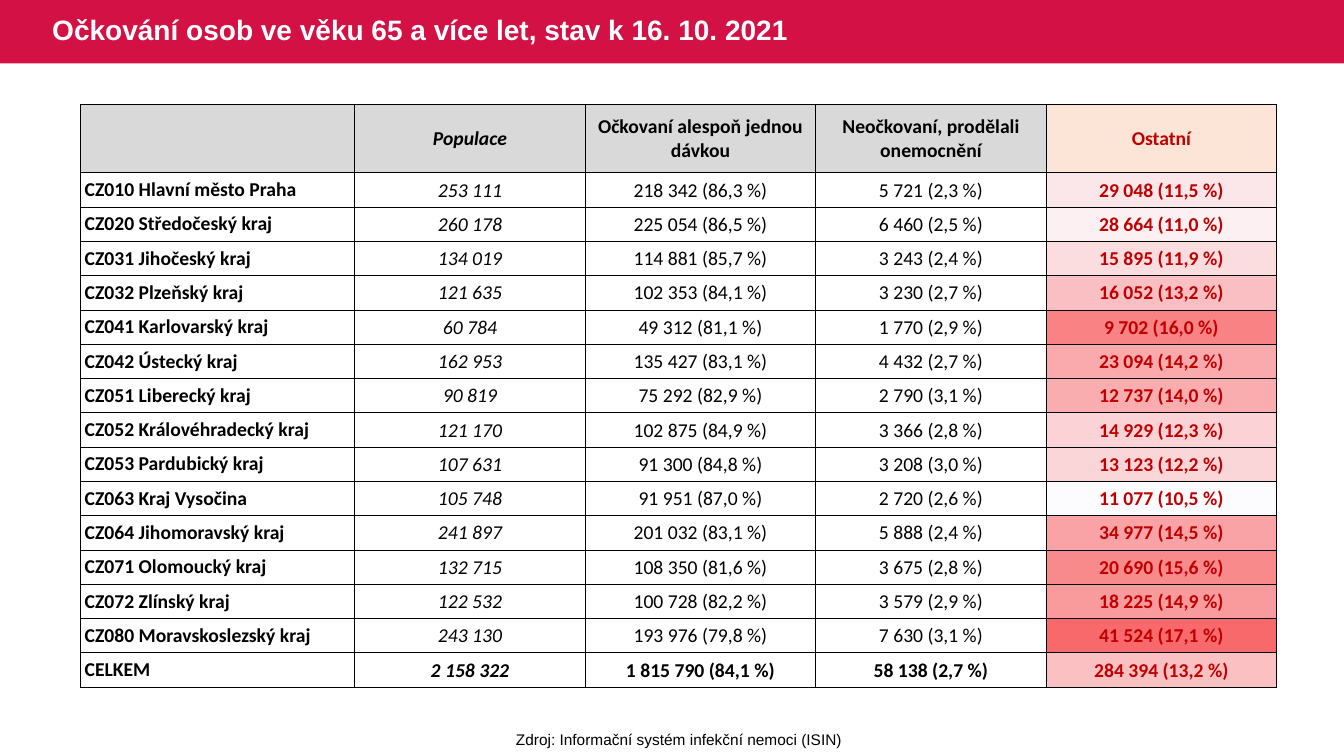
import lxml.etree
import pptx
import pptx.dml.color
import pptx.enum.shapes
import pptx.enum.text
import pptx.oxml.ns
import pptx.util

COLORS = {"bar": "D31145", "white": "FFFFFF", "black": "000000", "grey": "D9D9D9",
          "peach": "FCE4D6", "red": "C00000", "low": "FCFCFF", "high": "F8696B"}
WIDTH, HEIGHT = pptx.util.Inches(13.33), pptx.util.Inches(7.5)
COL, ROW = WIDTH / 100, HEIGHT / 22
ALIGN = pptx.enum.text.PP_ALIGN
MIDDLE = pptx.enum.text.MSO_ANCHOR.MIDDLE

HEADER = ("", "Populace", "Očkovaní alespoň jednou dávkou",
          "Neočkovaní, prodělali onemocnění", "Ostatní")
REGIONS = [
    ("CZ010 Hlavní město Praha", "253 111", "218 342 (86,3 %)", "5 721 (2,3 %)", "29 048 (11,5 %)"),
    ("CZ020 Středočeský kraj", "260 178", "225 054 (86,5 %)", "6 460 (2,5 %)", "28 664 (11,0 %)"),
    ("CZ031 Jihočeský kraj", "134 019", "114 881 (85,7 %)", "3 243 (2,4 %)", "15 895 (11,9 %)"),
    ("CZ032 Plzeňský kraj", "121 635", "102 353 (84,1 %)", "3 230 (2,7 %)", "16 052 (13,2 %)"),
    ("CZ041 Karlovarský kraj", "60 784", "49 312 (81,1 %)", "1 770 (2,9 %)", "9 702 (16,0 %)"),
    ("CZ042 Ústecký kraj", "162 953", "135 427 (83,1 %)", "4 432 (2,7 %)", "23 094 (14,2 %)"),
    ("CZ051 Liberecký kraj", "90 819", "75 292 (82,9 %)", "2 790 (3,1 %)", "12 737 (14,0 %)"),
    ("CZ052 Královéhradecký kraj", "121 170", "102 875 (84,9 %)", "3 366 (2,8 %)", "14 929 (12,3 %)"),
    ("CZ053 Pardubický kraj", "107 631", "91 300 (84,8 %)", "3 208 (3,0 %)", "13 123 (12,2 %)"),
    ("CZ063 Kraj Vysočina", "105 748", "91 951 (87,0 %)", "2 720 (2,6 %)", "11 077 (10,5 %)"),
    ("CZ064 Jihomoravský kraj", "241 897", "201 032 (83,1 %)", "5 888 (2,4 %)", "34 977 (14,5 %)"),
    ("CZ071 Olomoucký kraj", "132 715", "108 350 (81,6 %)", "3 675 (2,8 %)", "20 690 (15,6 %)"),
    ("CZ072 Zlínský kraj", "122 532", "100 728 (82,2 %)", "3 579 (2,9 %)", "18 225 (14,9 %)"),
    ("CZ080 Moravskoslezský kraj", "243 130", "193 976 (79,8 %)", "7 630 (3,1 %)", "41 524 (17,1 %)"),
    ("CELKEM", "2 158 322", "1 815 790 (84,1 %)", "58 138 (2,7 %)", "284 394 (13,2 %)"),
]


def rgb(value):
    """Turn a hex string into a colour."""
    return pptx.dml.color.RGBColor.from_string(value)


def grid(col, row, cols, rows):
    """Turn grid units into a left, top, width, height box."""
    return tuple(round(n) for n in (col * COL, row * ROW, cols * COL, rows * ROW))


def write(tf, text, size=14, font="Calibri", color="black", bold=False,
          italic=False, align=ALIGN.CENTER, spacing=None):
    """Write one formatted paragraph into a text frame."""
    p = tf.paragraphs[0]
    p.alignment, p.line_spacing = align, spacing
    r = p.add_run()
    r.text = text
    r.font.size, r.font.name = pptx.util.Pt(size), font
    r.font.bold, r.font.italic = bold, italic
    r.font.color.rgb = rgb(COLORS[color])


def count(text):
    """Read the number that stands before any bracket."""
    return int(text.split("(")[0].replace(" ", ""))


def heat_scale(rows):
    """Shade each row by the share of the last column in the population."""
    shares = [count(row[-1]) / count(row[1]) for row in rows]
    low, high = min(shares), max(shares)
    ends = list(zip(bytes.fromhex(COLORS["low"]), bytes.fromhex(COLORS["high"])))
    steps = [(share - low) / (high - low) for share in shares]
    return ["".join(f"{round(a + (b - a) * t):02X}" for a, b in ends) for t in steps]


def style_cell(cell, fill=None, margins=(0, 0), border=None):
    """Set margins, borders and fill of a table cell."""
    cell.vertical_anchor = MIDDLE
    cell.margin_left = cell.margin_right = pptx.util.Inches(margins[0])
    cell.margin_top, cell.margin_bottom = pptx.util.Inches(margins[1]), 0
    tc_pr = cell._tc.get_or_add_tcPr()
    qn = pptx.oxml.ns.qn
    for side in "LRTB":
        ln = lxml.etree.SubElement(tc_pr, qn(f"a:ln{side}"), w=str(pptx.util.Pt(0.5)))
        line_fill = lxml.etree.SubElement(ln, qn("a:solidFill" if border else "a:noFill"))
        if border:
            lxml.etree.SubElement(line_fill, qn("a:srgbClr"), val=border)
    if fill:
        cell.fill.solid()
        cell.fill.fore_color.rgb = rgb(fill)
    else:
        cell.fill.background()


def add_grid_table(s, box, col_shares, row_shares):
    """Add a plain table whose columns and rows split the box by shares."""
    table = s.shapes.add_table(len(row_shares), len(col_shares), *box).table
    table.first_row = table.horz_banding = False
    for column, share in zip(table.columns, col_shares):
        column.width = round(box[2] * share / sum(col_shares))
    for row, share in zip(table.rows, row_shares):
        row.height = round(box[3] * share / sum(row_shares))
    return table


def add_title(s, box, text):
    """Draw the full-width bar and the title on it."""
    left, top, width, height = box
    sp = s.shapes.add_shape(pptx.enum.shapes.MSO_SHAPE.RECTANGLE, *box)
    sp.shadow.inherit = False
    sp.fill.solid()
    sp.fill.fore_color.rgb = rgb(COLORS["bar"])
    sp.line.fill.background()
    tf = s.shapes.add_textbox(left + round(width * 0.0315), top, round(width * 0.62), height).text_frame
    tf.word_wrap, tf.vertical_anchor = True, MIDDLE
    write(tf, text, size=20, font="Arial", color="white", bold=True,
          align=ALIGN.LEFT, spacing=0.9)


def add_heat_table(s, box):
    """Draw the one-column table of heat colours."""
    table = add_grid_table(s, box, [1], [1] * len(REGIONS))
    for i, fill in enumerate(heat_scale(REGIONS)):
        style_cell(table.cell(i, 0), fill)


def add_region_table(s, box):
    """Draw the vaccination table, its heat colours lying under the last column."""
    left, top, width, height = box
    rows = [HEADER] + REGIONS
    last_row, last_col = len(rows) - 1, len(HEADER) - 1
    col_shares = [20.4] + [17.15] * last_col
    row_shares = [2] + [1] * len(REGIONS)
    heat_width = round(width * col_shares[-1] / sum(col_shares))
    heat_height = round(height * len(REGIONS) / sum(row_shares))
    add_heat_table(s, (left + width - heat_width, top + height - heat_height,
                       heat_width, heat_height))
    table = add_grid_table(s, box, col_shares, row_shares)
    for i, row in enumerate(rows):
        for j, text in enumerate(row):
            cell = table.cell(i, j)
            header_fill = COLORS["peach" if j == last_col else "grey"]
            style_cell(cell, header_fill if i == 0 else None,
                       (0.04, 0) if i == 0 or j == 0 else (0.01, 0.01), COLORS["black"])
            if text:
                write(cell.text_frame, text, italic=j == 1,
                      bold=i in (0, last_row) or j in (0, last_col),
                      color="red" if j == last_col else "black",
                      align=ALIGN.LEFT if j == 0 else ALIGN.CENTER)


def add_source(s, box, text):
    """Write the source line under the table."""
    tf = s.shapes.add_textbox(*box).text_frame
    tf.word_wrap = False
    tf.auto_size = pptx.enum.text.MSO_AUTO_SIZE.SHAPE_TO_FIT_TEXT
    write(tf, text, size=11, font="Arial")


prs = pptx.Presentation()
prs.slide_width, prs.slide_height = WIDTH, HEIGHT
s = prs.slides.add_slide(prs.slide_layouts[6])
add_title(s, grid(0, 0, 100, 1.85), "Očkování osob ve věku 65 a více let, stav k 16. 10. 2021")
add_region_table(s, grid(6, 3.03, 89, 16.98))
add_source(s, grid(37.58, 21.09, 25.9, 0.85), "Zdroj: Informační systém infekční nemoci (ISIN)")
prs.save("out.pptx")
